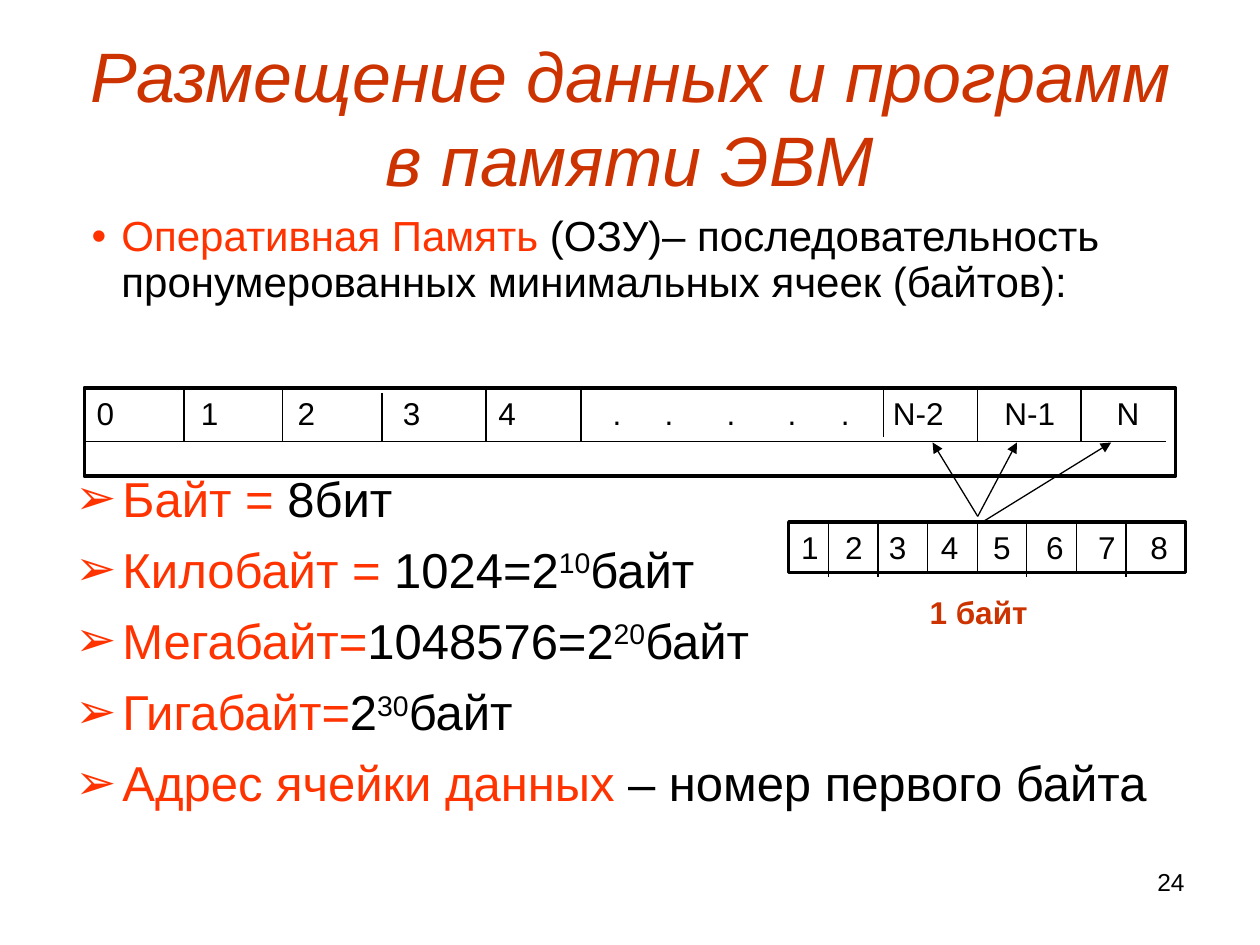
from lxml import etree
from pptx import Presentation
from pptx.dml.color import RGBColor
from pptx.enum.shapes import MSO_CONNECTOR, MSO_SHAPE
from pptx.enum.text import MSO_ANCHOR, PP_ALIGN
from pptx.oxml.ns import qn
from pptx.util import Cm, Pt

STRAIGHT = MSO_CONNECTOR.STRAIGHT
RECTANGLE = MSO_SHAPE.RECTANGLE
TOP, MIDDLE = MSO_ANCHOR.TOP, MSO_ANCHOR.MIDDLE
LEFT, CENTER, RIGHT = PP_ALIGN.LEFT, PP_ALIGN.CENTER, PP_ALIGN.RIGHT
BLACK, RED, DARK_RED = "000000", "FF3300", "CC3300"

# Content: a paragraph is a list of (text, colour, superscript) runs
TITLE = [("Размещение данных и программ в памяти ЭВМ", DARK_RED, False)]
INTRO = [
    ("Оперативная Память", RED, False),
    (" (ОЗУ)– последовательность пронумерованных минимальных ячеек (байтов):", BLACK, False),
]
UNITS = [
    [("Байт = ", RED, False), ("8бит", BLACK, False)],
    [("Килобайт = ", RED, False), ("1024=2", BLACK, False),
     ("10", BLACK, True), ("байт", BLACK, False)],
    [("Мегабайт=", RED, False), ("1048576=2", BLACK, False),
     ("20", BLACK, True), ("байт", BLACK, False)],
    [("Гигабайт=", RED, False), ("2", BLACK, False),
     ("30", BLACK, True), ("байт", BLACK, False)],
    [("Адрес ячейки данных", RED, False), (" – номер первого байта", BLACK, False)],
]
CAPTION = [("1 байт", DARK_RED, False)]
PAGE_NUMBER = [("24", BLACK, False)]

# Labels with their offsets from the start of the text, in cm
MEMORY_CELLS = [("0", 0), ("1", 2.1), ("2", 4.05), ("3", 6.17), ("4", 8.1),
                (".", 10.4), (".", 11.45), (".", 12.7), (".", 13.93), (".", 15),
                ("N-2", 16.05), ("N-1", 18.3), ("N", 20.56)]
BYTE_BITS = [("1", 0), ("2", 0.89), ("3", 1.77), ("4", 2.82),
             ("5", 3.87), ("6", 4.94), ("7", 5.99), ("8", 7.04)]

# Geometry in cm: left, top, width, height
MEMORY = (1.7, 7.82, 22, 1.78)
BYTE = (15.9, 10.52, 8, 1.02)
CELL_BOTTOM = 8.9
# Dividers of the memory: x, top, bottom
MEMORY_DIVIDERS = [(1.7, 7.82, CELL_BOTTOM), (3.71, 7.82, CELL_BOTTOM),
                   (5.69, 7.82, CELL_BOTTOM), (7.7, 7.92, CELL_BOTTOM),
                   (9.8, 7.82, CELL_BOTTOM), (11.71, 7.82, CELL_BOTTOM),
                   (17.81, 7.82, 8.81), (19.71, 7.82, CELL_BOTTOM),
                   (21.79, 7.82, CELL_BOTTOM)]
BIT_BOTTOMS = [11.63, 11.63, 11.53, 11.53, 11.63, 11.53, 11.63]
ARROWS = [(19.71, 10.41, 18.8, 8.92), (19.71, 10.41, 20.5, 8.92),
          (19.81, 10.52, 22.4, 8.92)]


def color(value):
    return RGBColor.from_string(value)


def add_line(x1, y1, x2, y2, arrow=False):
    line = slide.shapes.add_connector(STRAIGHT, Cm(x1), Cm(y1), Cm(x2), Cm(y2))
    line.line.color.rgb = color(BLACK)
    line.line.width = Pt(0.75)
    if arrow:
        etree.SubElement(line.line._get_or_add_ln(), qn("a:tailEnd"), type="triangle")
    etree.SubElement(line._element.spPr, qn("a:effectLst"))


def add_bullet(paragraph, sign, hang):
    properties = paragraph._p.get_or_add_pPr()
    properties.set("marL", str(Cm(hang)))
    properties.set("indent", str(-Cm(hang)))
    tint = etree.SubElement(properties, qn("a:buClr"))
    etree.SubElement(tint, qn("a:srgbClr"), val=RED)
    etree.SubElement(properties, qn("a:buFont"), typeface="Arial")
    etree.SubElement(properties, qn("a:buChar"), char=sign)


def add_tabs(paragraph, offsets):
    tabs = etree.SubElement(paragraph._p.get_or_add_pPr(), qn("a:tabLst"))
    for offset in offsets:
        etree.SubElement(tabs, qn("a:tab"), pos=str(Cm(offset)), algn="l")


def write(shape, paragraphs, size, align=LEFT, anchor=TOP, bullet=None,
          tabs=(), gap=0, spacing=None, **style):
    frame = shape.text_frame
    frame.word_wrap = True
    frame.vertical_anchor = anchor
    for index, runs in enumerate(paragraphs):
        paragraph = frame.add_paragraph() if index else frame.paragraphs[0]
        if bullet:
            add_bullet(paragraph, *bullet)
        if tabs:
            add_tabs(paragraph, tabs)
        paragraph.alignment = align
        if index:
            paragraph.space_before = Pt(gap)
        if spacing:
            paragraph.line_spacing = spacing
        for text, tint, raised in runs:
            run = paragraph.add_run()
            run.text = text
            run.font.color.rgb = color(tint)
            for name, value in {"name": "Arial", "size": Pt(size), **style}.items():
                setattr(run.font, name, value)
            if raised:
                run.font._element.set("baseline", "30000")


def add_text(box, paragraphs, size, **options):
    write(slide.shapes.add_textbox(*map(Cm, box)), paragraphs, size, **options)


def add_cells(box, cells):
    frame = slide.shapes.add_shape(RECTANGLE, *map(Cm, box))
    frame.shadow.inherit = False
    frame.fill.background()
    frame.line.color.rgb = color(BLACK)
    frame.line.width = Pt(2)
    labels = "\t".join(label for label, _ in cells)
    write(frame, [[(labels, BLACK, False)]], 18,
          tabs=[offset for _, offset in cells[1:]])


presentation = Presentation()
presentation.slide_width, presentation.slide_height = Cm(25.4), Cm(19.05)
slide = presentation.slides.add_slide(presentation.slide_layouts[6])

# Title and list of units
add_text((1.27, 0.76, 22.86, 3.18), [TITLE], 40, align=CENTER, anchor=MIDDLE, italic=True)
add_text((1.27, 9.32, 23.04, 7.7), UNITS, 28, bullet=("➢", 0.95), gap=7)

# Memory row
left, top, width, _ = MEMORY
add_line(left, top, left + width, top)
add_line(left, CELL_BOTTOM, 23.5, CELL_BOTTOM)
for x, start, end in MEMORY_DIVIDERS:
    add_line(x, start, x, end)
add_cells(MEMORY, MEMORY_CELLS)

# Definition of memory
add_text((1.6, 4.22, 23.39, 2.08), [INTRO], 24, bullet=("•", 0.6), spacing=0.9)

# One byte with its bits, one centimetre apart
add_cells(BYTE, BYTE_BITS)
for index, bottom in enumerate(BIT_BOTTOMS):
    x = 16.7 + index
    add_line(x, BYTE[1], x, bottom)
for ends in ARROWS:
    add_line(*ends, arrow=True)
add_text((18.49, 11.84, 4.6, 1.02), [CAPTION], 18, bold=True)

# Page number
add_text((18.21, 17.35, 5.92, 1.32), [PAGE_NUMBER], 14, align=RIGHT)

presentation.save("out.pptx")
